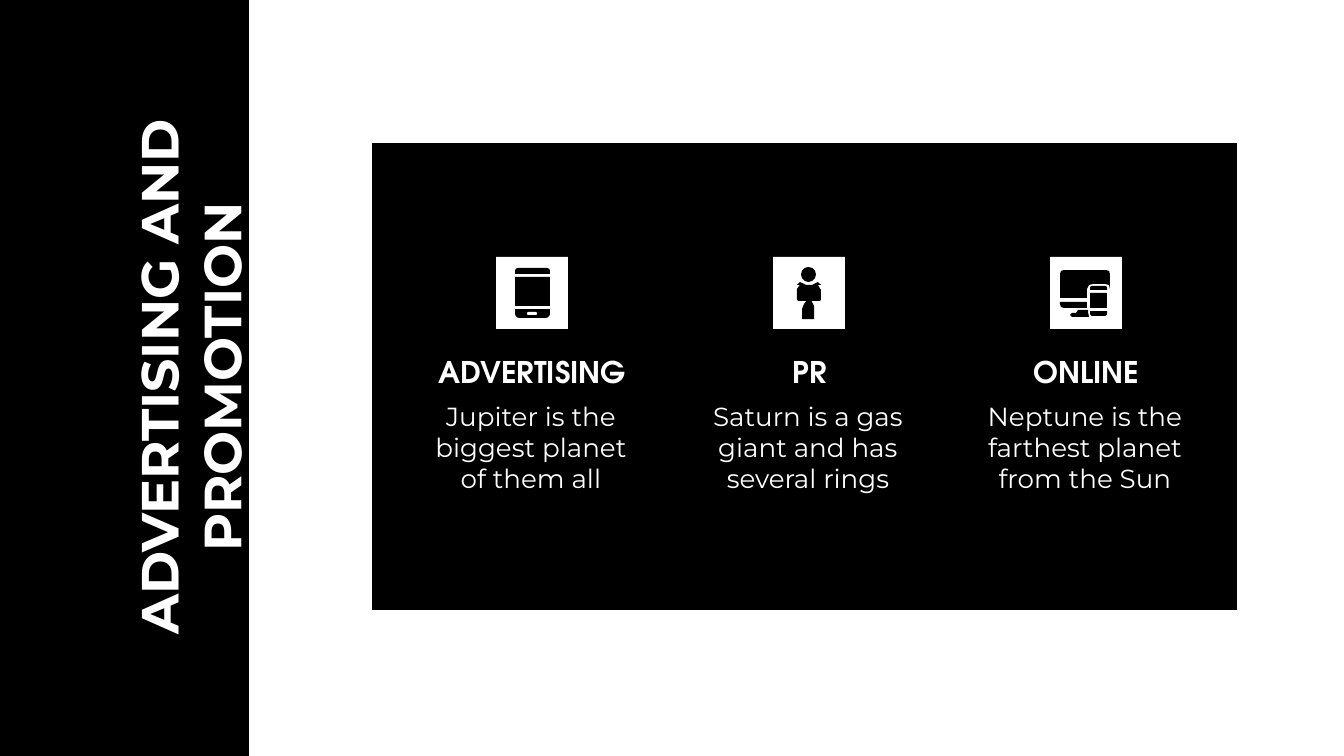
from pptx import Presentation
from pptx.dml.color import RGBColor
from pptx.enum.shapes import MSO_SHAPE
from pptx.enum.text import MSO_ANCHOR, PP_ALIGN
from pptx.util import Pt

BLACK = RGBColor(0, 0, 0)
WHITE = RGBColor(255, 255, 255)
SCALE = 914400 / 134.4
BODY_FONT = "Montserrat"
HEADING_FONT = "TeX Gyre Adventor"

COLUMN_STEP = 277
TILE_LEFT, TILE_TOP, TILE_SIZE = 496, 257, 72

COLUMNS = [
    ("ADVERTISING", "Jupiter is the biggest planet of them all"),
    ("PR", "Saturn is a gas giant and has several rings"),
    ("ONLINE", "Neptune is the farthest planet from the Sun"),
]

SHOULDERS = [(24, 32), (27, 28), (24, 28), (27, 25), (33, 28), (39, 28), (45, 25),
             (48, 28), (45, 28), (48, 33), (48, 43), (47, 44), (25, 44), (24, 42)]
LEGS = [(34, 43), (38, 43), (41, 49), (41, 62), (29, 62), (29, 52), (31, 47)]
MONITOR = [(14, 13), (11, 14), (10, 17), (10, 41), (37, 41), (37, 32), (39, 28),
           (43, 27), (55, 27), (59, 28), (60, 32), (60, 17), (59, 14), (56, 13)]
MONITOR_BASE = [(10, 45), (10, 47), (11, 50), (14, 51), (37, 51), (37, 45)]
MONITOR_STAND = [(28, 53), (26, 56), (22, 56), (20, 58), (22, 60), (39, 60),
                 (38, 55), (38, 53)]


def px(value):
    return round(value * SCALE)


class SlideBuilder:
    def __init__(self, page):
        self.page = page

    def paint(self, shape, fill, outline=None):
        shape.shadow.inherit = False
        shape.fill.solid()
        shape.fill.fore_color.rgb = fill
        if outline is None:
            shape.line.fill.background()
        else:
            shape.line.color.rgb = outline
            shape.line.width = Pt(1.5)
        return shape

    def block(self, left, top, width, height, fill=BLACK, outline=None,
              kind=MSO_SHAPE.RECTANGLE):
        shape = self.page.shapes.add_shape(
            kind, px(left), px(top), px(width), px(height))
        return self.paint(shape, fill, outline)

    def outline(self, left, top, points):
        corners = [(left + x, top + y) for x, y in points]
        builder = self.page.shapes.build_freeform(*corners[0], scale=SCALE)
        builder.add_line_segments(corners[1:], close=True)
        return self.paint(builder.convert_to_shape(), BLACK)

    def text(self, left, top, width, height, words, size, font=BODY_FONT,
             bold=False, rotation=0):
        box = self.page.shapes.add_textbox(px(left), px(top), px(width), px(height))
        box.rotation = rotation
        frame = box.text_frame
        frame.word_wrap = True
        frame.vertical_anchor = MSO_ANCHOR.TOP
        frame.margin_left = frame.margin_right = px(13)
        frame.margin_top = frame.margin_bottom = px(13)
        frame.text = words
        para = frame.paragraphs[0]
        para.alignment = PP_ALIGN.CENTER
        span = para.runs[0]
        span.font.name = font
        span.font.size = Pt(size)
        span.font.bold = bold
        span.font.color.rgb = WHITE

    def handset(self, left, top, width, cap, screen, foot, gap):
        rounded = MSO_SHAPE.ROUND_2_SAME_RECTANGLE
        self.block(left, top, width, cap, kind=rounded).adjustments[0] = 0.5
        top += cap + gap
        self.block(left, top, width, screen)
        top += screen + gap
        base = self.block(left, top, width, foot, kind=rounded)
        base.adjustments[0] = 0.5
        base.rotation = 180

    def phone_icon(self, left, top):
        self.handset(left + 19, top + 11, 35, cap=6, screen=29, foot=9, gap=3)
        button = self.block(left + 31, top + 55, 10, 3, WHITE,
                            kind=MSO_SHAPE.ROUNDED_RECTANGLE)
        button.adjustments[0] = 0.5

    def person_icon(self, left, top):
        self.block(left + 28, top + 10, 15, 15, kind=MSO_SHAPE.OVAL)
        self.outline(left, top, SHOULDERS)
        self.outline(left, top, LEGS)

    def screens_icon(self, left, top):
        for points in (MONITOR, MONITOR_BASE, MONITOR_STAND):
            self.outline(left, top, points)
        self.handset(left + 40, top + 29, 17, cap=4, screen=15, foot=5, gap=3)


def main():
    deck = Presentation()
    deck.slide_width = px(1344)
    deck.slide_height = px(756)
    slide = SlideBuilder(deck.slides.add_slide(deck.slide_layouts[6]))

    slide.block(371, 142, 868, 470, outline=WHITE)
    slide.block(-12, -5, 263, 773, outline=WHITE)
    slide.text(-119, 310, 599, 134, "ADVERTISING AND PROMOTION", 28,
               bold=True, rotation=270)

    icons = (slide.phone_icon, slide.person_icon, slide.screens_icon)
    for index, ((heading, words), draw_icon) in enumerate(zip(COLUMNS, icons)):
        shift = index * COLUMN_STEP
        slide.text(414 + shift, 341, 237, 46, heading, 16, HEADING_FONT, bold=True)
        slide.text(417 + shift, 387, 228, 116, words, 14)
        slide.block(TILE_LEFT + shift, TILE_TOP, TILE_SIZE, TILE_SIZE, WHITE)
        draw_icon(TILE_LEFT + shift, TILE_TOP)

    deck.save("out.pptx")


if __name__ == "__main__":
    main()
